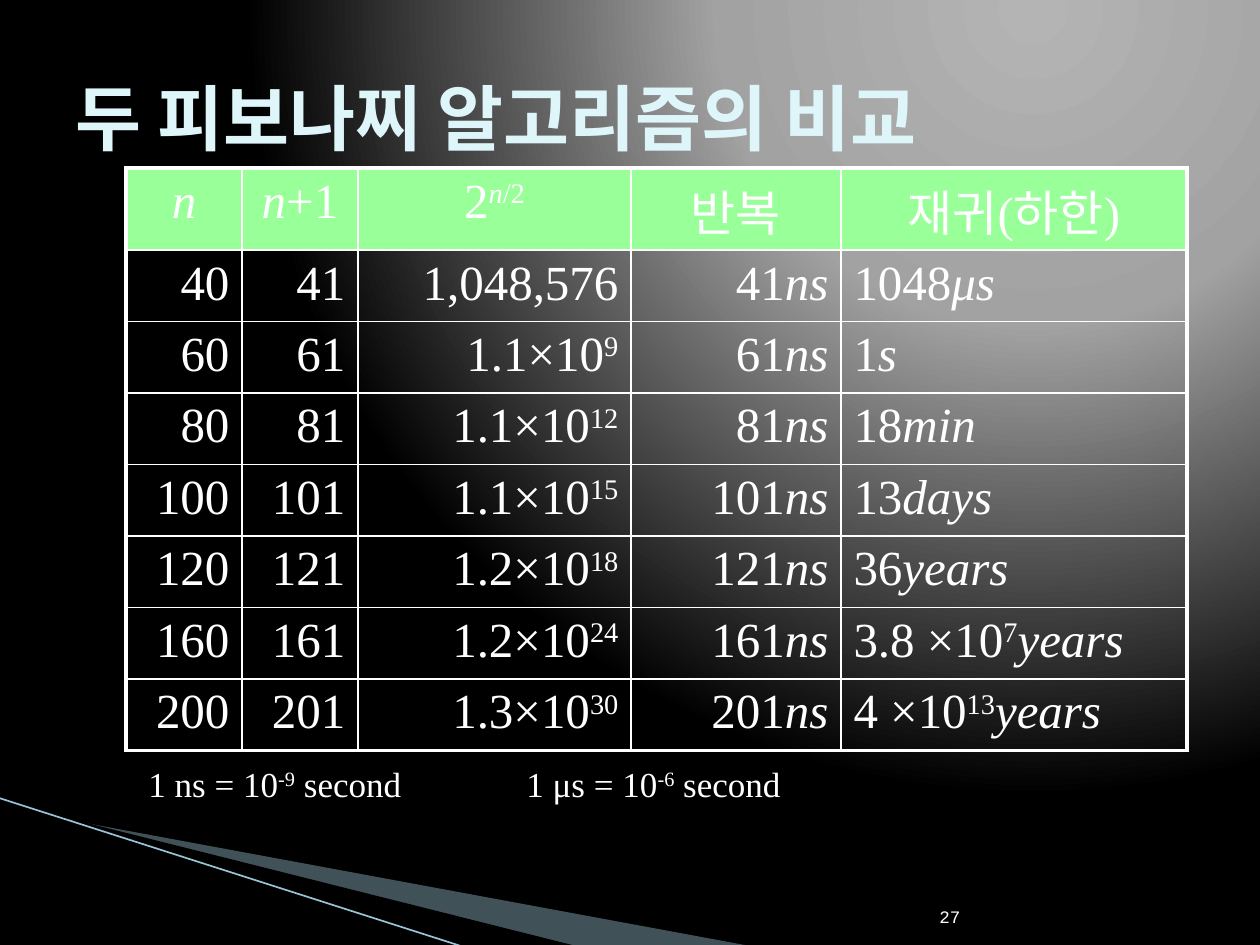
import pptx
import pptx.dml.color
import pptx.enum.shapes
import pptx.enum.text
import pptx.oxml
import pptx.oxml.ns
import pptx.util
import lxml.etree

PX = 914400 / 126
ALIGN = pptx.enum.text.PP_ALIGN
ANCHOR = pptx.enum.text.MSO_ANCHOR
RGB = pptx.dml.color.RGBColor.from_string
NS = pptx.oxml.ns.nsdecls("a", "p")
qn = pptx.oxml.ns.qn


class Theme:
    white, black = "FFFFFF", "000000"
    title, header = "DEF5FA", "99FF99"
    wedge, line = "A0CBDC", "97C5D8"
    glow = [(0, "B4B4B4"), (40, "A2A2A2"), (100, "000000")]
    serif, mono = "Times New Roman", "Courier New"
    title_pt, table_pt, note_pt, number_pt = 41, 28, 20, 10
    outer_pt, inner_pt = 2.25, 1


def px(*values):
    return [round(v * PX) for v in values]


def write(tf, text, size, font, color=Theme.white, align=ALIGN.LEFT):
    """Write one paragraph: *...* is italic and ^...^ is superscript."""
    p = tf.paragraphs[0]
    p.alignment = align
    for i, part in enumerate(text.split("^")):
        for j, piece in enumerate(part.split("*")):
            if not piece:
                continue
            r = p.add_run()
            r.text = piece
            r.font.size = pptx.util.Pt(size)
            r.font.name = font
            r.font.color.rgb = RGB(color)
            r.font.italic = j % 2 == 1
            if i % 2:
                r.font._element.set("baseline", "30000")
    return p


prs = pptx.Presentation()
prs.slide_width, prs.slide_height = px(1260, 945)
s = prs.slides.add_slide(prs.slide_layouts[6])

# Background glow
stops = "".join(f'<a:gs pos="{pos * 1000}"><a:srgbClr val="{c}"/></a:gs>' for pos, c in Theme.glow)
bg = pptx.oxml.parse_xml(
    f'<p:bg {NS}><p:bgPr><a:gradFill><a:gsLst>{stops}</a:gsLst><a:path path="circle">'
    '<a:fillToRect l="65000" t="0" r="0" b="98000"/></a:path></a:gradFill>'
    "<a:effectLst/></p:bgPr></p:bg>")
s._element.cSld.insert(0, bg)

# Corner decoration
wedges = [
    ([(69, 820), (750, 946), (575, 946), (69, 819)], Theme.wedge, 40),
    ([(67, 818), (576, 946), (469, 948), (68, 819)], Theme.black, 100),
]
for points, color, opacity in wedges:
    builder = s.shapes.build_freeform(*points[0], scale=PX)
    builder.add_line_segments(points[1:], close=True)
    sp = builder.convert_to_shape()
    sp.shadow.inherit = False
    sp.fill.solid()
    sp.fill.fore_color.rgb = RGB(color)
    sp.line.fill.background()
    if opacity < 100:
        clr = sp._element.spPr.find(f"{qn('a:solidFill')}/{qn('a:srgbClr')}")
        lxml.etree.SubElement(clr, qn("a:alpha")).set("val", str(opacity * 1000))

edge = s.shapes.add_connector(pptx.enum.shapes.MSO_CONNECTOR.STRAIGHT, *px(-1, 798, 467, 948))
edge.line.color.rgb = RGB(Theme.line)
edge.line.width = pptx.util.Pt(0.95)
lxml.etree.SubElement(edge._element.spPr, qn("a:effectLst"))

# Title, footnote and slide number
texts = [
    ((63, 38, 1134, 157), ANCHOR.MIDDLE, "두 피보나찌 알고리즘의 비교",
     Theme.title_pt, Theme.mono, Theme.title, True),
    ((136, 756, 919, 54), ANCHOR.TOP, "1 ns = 10^-9^ second\t\t1 μs = 10^-6^ second",
     Theme.note_pt, Theme.serif, Theme.white, False),
    ((927, 883, 265, 50), ANCHOR.BOTTOM, "27",
     Theme.number_pt, Theme.mono, Theme.white, False),
]
for box, anchor, text, size, font, color, bold in texts:
    tf = s.shapes.add_textbox(*px(*box)).text_frame
    tf.word_wrap = True
    tf.vertical_anchor = anchor
    for r in write(tf, text, size, font, color).runs:
        r.font.bold = bold

# Comparison table: n, 2^(n/2), recursive time
timings = [
    (40, "1,048,576", "1048*μs*"),
    (60, "1.1×10^9^", "1*s*"),
    (80, "1.1×10^12^", "18*min*"),
    (100, "1.1×10^15^", "13*days*"),
    (120, "1.2×10^18^", "36*years*"),
    (160, "1.2×10^24^", "3.8 ×10^7^*years*"),
    (200, "1.3×10^30^", "4 ×10^13^*years*"),
]
rows = [["*n*", "*n*+1", "2^*n*/2^", "반복", "재귀(하한)"]]
rows += [[f"{n}", f"{n + 1}", power, f"{n + 1}*ns*", recursive] for n, power, recursive in timings]
widths = px(116, 116, 273, 210, 346)
heights = px(82, *[70] * len(timings))
last_row, last_col = len(rows) - 1, len(widths) - 1

table = s.shapes.add_table(len(rows), len(widths), *px(126, 168), sum(widths), sum(heights)).table
table.first_row = table.horz_banding = False
for column, width in zip(table.columns, widths):
    column.width = width
for row, height in zip(table.rows, heights):
    row.height = height

for i, row in enumerate(rows):
    for j, text in enumerate(row):
        cell = table.cell(i, j)
        if i == 0:
            cell.fill.solid()
            cell.fill.fore_color.rgb = RGB(Theme.header)
            align = ALIGN.CENTER
        else:
            cell.fill.background()
            align = ALIGN.LEFT if j == last_col else ALIGN.RIGHT
        write(cell.text_frame, text, Theme.table_pt, Theme.serif, align=align)
        outer = {"L": j == 0, "R": j == last_col, "T": i == 0, "B": i == last_row}
        for k, (side, is_outer) in enumerate(outer.items()):
            width = pptx.util.Pt(Theme.outer_pt if is_outer else Theme.inner_pt)
            border = pptx.oxml.parse_xml(
                f'<a:ln{side} {NS} w="{width}"><a:solidFill>'
                f'<a:srgbClr val="{Theme.white}"/></a:solidFill></a:ln{side}>')
            cell._tc.get_or_add_tcPr().insert(k, border)

prs.save("out.pptx")
